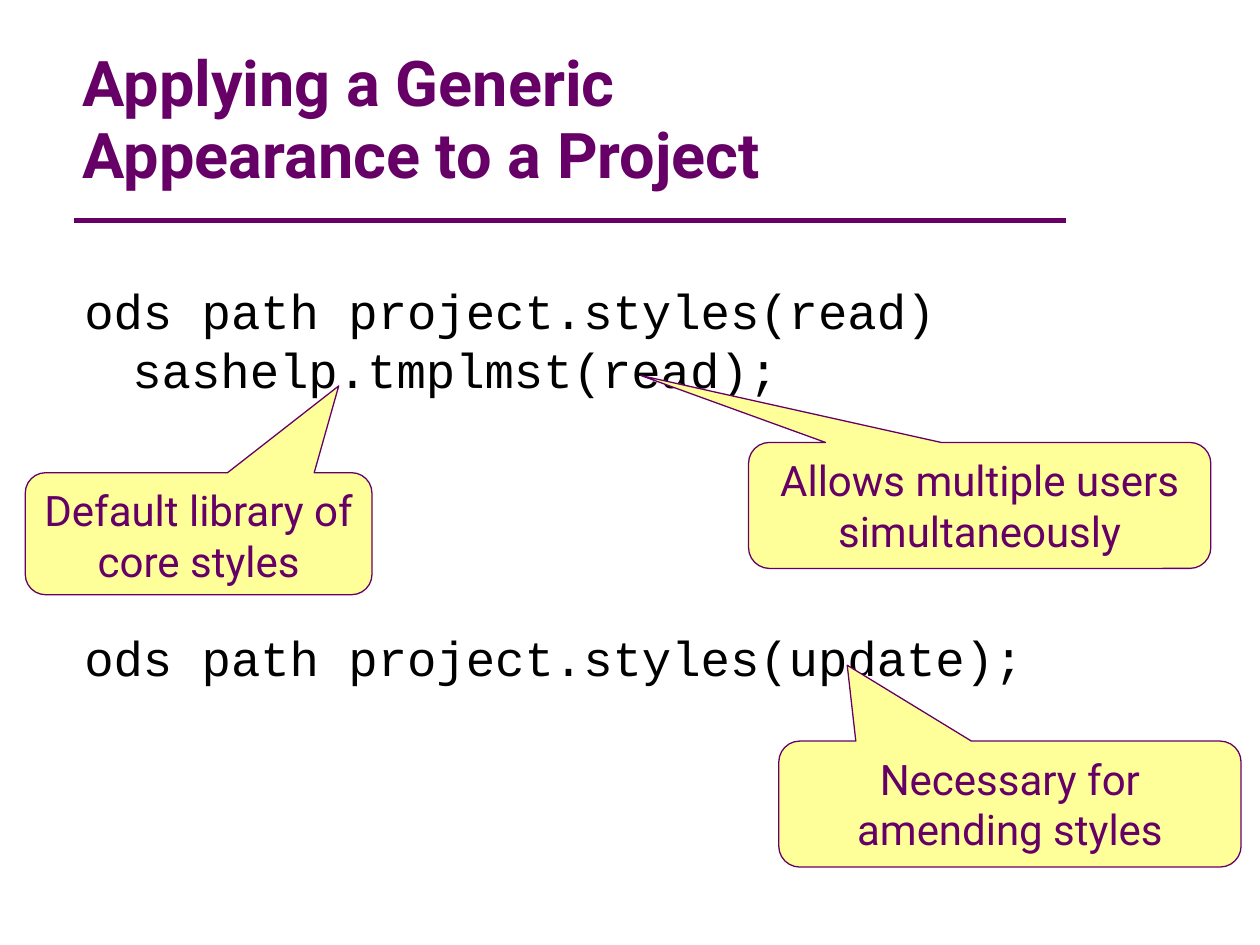
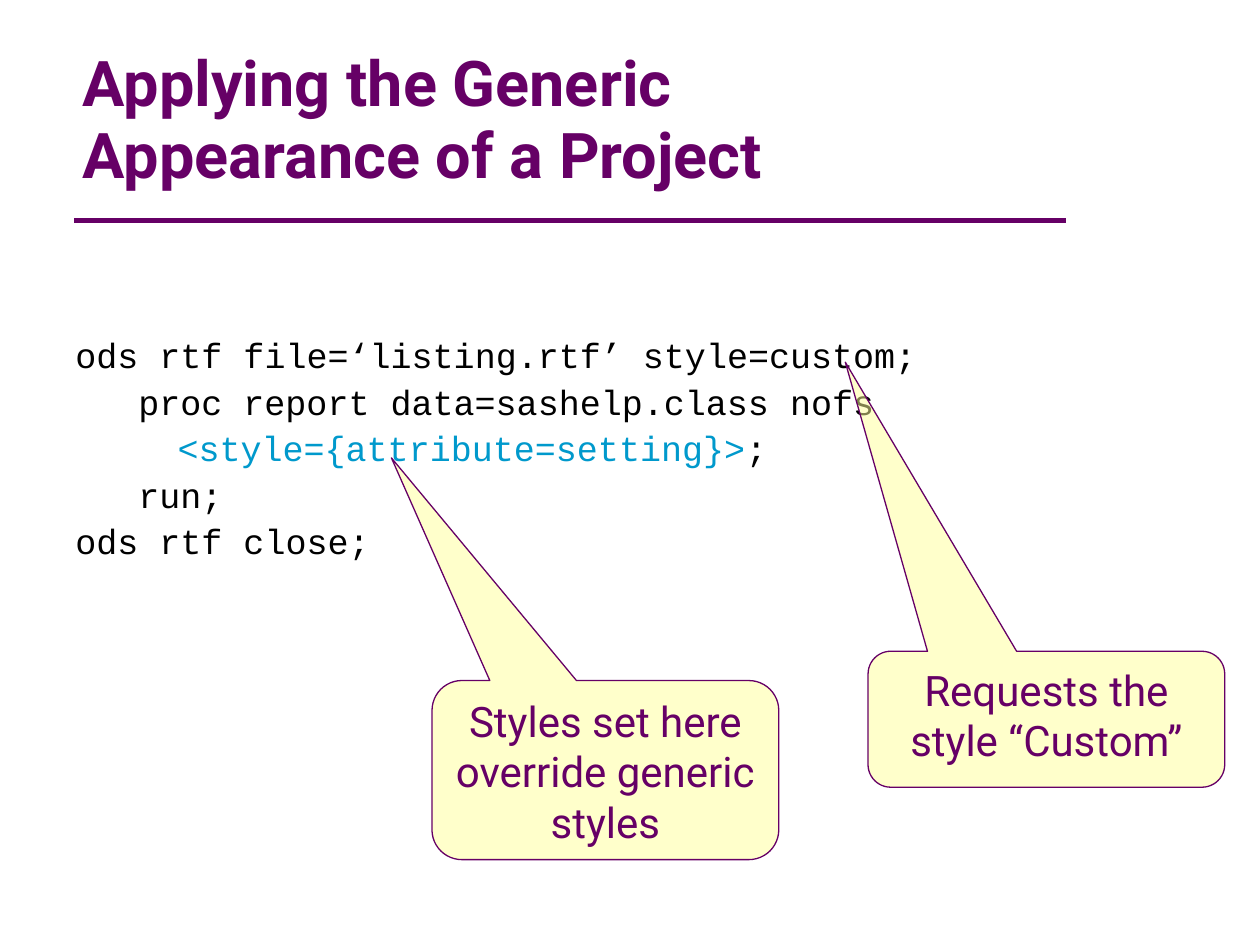
from lxml.etree import SubElement
from pptx import Presentation
from pptx.dml.color import RGBColor
from pptx.enum.shapes import MSO_CONNECTOR, MSO_SHAPE
from pptx.enum.text import MSO_ANCHOR, PP_ALIGN
from pptx.oxml.ns import qn
from pptx.util import Cm, Pt

COLORS = {"purple": "660066", "yellow": "FFFF99", "code": "000000", "option": "0099CC"}
TITLE_BOX = (1.42, 1.07, 16.38, 2.74)
RULE = (1.5, 4.45, 21.49, 4.45)
HANGING = {"margin": 0.97, "indent": -0.97}
NESTED = {"margin": 2.06, "indent": -0.79}

# Code lines hold (runs, paragraph format); boxes are left, top, width, height in cm
SLIDES = [
    {
        "title": "Applying a Generic Appearance to a Project",
        "code_box": (1.45, 5.53, 22.1, 11.4),
        "code_format": {"size": 28},
        "code": [
            ([("ods path project.styles(read) sashelp.tmplmst(read);", "code")], HANGING),
            ([("ods path project.styles(update);", "code")], HANGING | {"before": 131}),
        ],
        "opacity": 100,
        "callouts": [
            {"text": "Allows multiple users simultaneously",
             "box": (15.09, 8.92, 9.32, 2.54), "tip": (12.92, 7.57)},
            {"text": "Default library of core styles",
             "box": (0.51, 9.53, 6.99, 2.46), "tip": (6.83, 7.78)},
            {"text": "Necessary for amending styles",
             "box": (15.7, 14.94, 9.32, 2.54), "tip": (17.08, 13.41)},
        ],
    },
    {
        "title": "Applying the Generic Appearance of a Project",
        "code_box": (1.27, 6.7, 20.75, 10),
        "code_format": {"size": 20, "line_spacing": 0.9, "before": 5},
        "code": [
            ([("ods rtf file=‘listing.rtf’ style=custom;", "code")], HANGING),
            ([("proc report data=sashelp.class nofs", "code")], NESTED),
            ([("<style={attribute=setting}>", "option"), (";", "code")],
             NESTED | {"indent": 0}),
            ([("run;", "code")], NESTED),
            ([("ods rtf close;", "code")], HANGING),
        ],
        "opacity": 50,
        "callouts": [
            {"text": "Requests the style “Custom”",
             "box": (17.5, 13.13, 7.19, 2.74), "tip": (17.04, 7.3)},
            {"text": "Styles set here override generic styles",
             "box": (8.71, 13.72, 6.99, 3.61), "tip": (7.89, 9.23)},
        ],
    },
]


def color(name):
    return RGBColor.from_string(COLORS[name])


def write(paragraph, runs, size, font="Roboto", bold=False, align=PP_ALIGN.LEFT,
          line_spacing=1.0, before=0, margin=0, indent=0):
    """Fill a paragraph with (text, color name) runs in one format."""
    properties = paragraph._p.get_or_add_pPr()
    properties.set("marL", str(Cm(margin)))
    properties.set("indent", str(Cm(indent)))
    paragraph.alignment = align
    paragraph.line_spacing = line_spacing
    paragraph.space_before = Pt(before)
    for text, color_name in runs:
        run = paragraph.add_run()
        run.text = text
        run.font.name = font
        run.font.size = Pt(size)
        run.font.bold = bold
        run.font.color.rgb = color(color_name)


def add_text_frame(slide, box):
    frame = slide.shapes.add_textbox(*map(Cm, box)).text_frame
    frame.word_wrap = True
    return frame


def add_heading(slide, title):
    left, top, right, bottom = map(Cm, RULE)
    rule = slide.shapes.add_connector(MSO_CONNECTOR.STRAIGHT, left, top, right, bottom)
    rule.line.color.rgb = color("purple")
    rule.line.width = Pt(3)
    SubElement(rule._element.spPr, qn("a:effectLst"))
    frame = add_text_frame(slide, TITLE_BOX)
    frame.vertical_anchor = MSO_ANCHOR.MIDDLE
    write(frame.paragraphs[0], [(title, "purple")], size=36, bold=True, line_spacing=0.95)


def add_code(slide, box, lines, shared_format):
    frame = add_text_frame(slide, box)
    for index, (runs, line_format) in enumerate(lines):
        paragraph = frame.add_paragraph() if index else frame.paragraphs[0]
        settings = shared_format | line_format
        if index == 0:
            settings["before"] = 0
        write(paragraph, runs, font="Courier New", **settings)


def add_callout(slide, text, box, tip, opacity):
    left, top, width, height = box
    shape = slide.shapes.add_shape(MSO_SHAPE.ROUNDED_RECTANGULAR_CALLOUT, *map(Cm, box))
    # The pointer is measured from the centre in shares of the box
    shape.adjustments[0] = (tip[0] - left) / width - 0.5
    shape.adjustments[1] = (tip[1] - top) / height - 0.5
    shape.shadow.inherit = False
    shape.fill.solid()
    shape.fill.fore_color.rgb = color("yellow")
    if opacity < 100:
        fill_color = shape._element.spPr.find(qn("a:solidFill"))[0]
        SubElement(fill_color, qn("a:alpha"), val=str(opacity * 1000))
    shape.line.color.rgb = color("purple")
    shape.line.width = Pt(0.75)
    frame = shape.text_frame
    frame.word_wrap = True
    frame.vertical_anchor = MSO_ANCHOR.TOP
    write(frame.paragraphs[0], [(text, "purple")], size=24, align=PP_ALIGN.CENTER)


def main():
    presentation = Presentation()
    presentation.slide_width, presentation.slide_height = Cm(25.4), Cm(19.05)
    for content in SLIDES:
        slide = presentation.slides.add_slide(presentation.slide_layouts[6])
        add_heading(slide, content["title"])
        add_code(slide, content["code_box"], content["code"], content["code_format"])
        for callout in content["callouts"]:
            add_callout(slide, **callout, opacity=content["opacity"])
    presentation.save("out.pptx")


if __name__ == "__main__":
    main()
